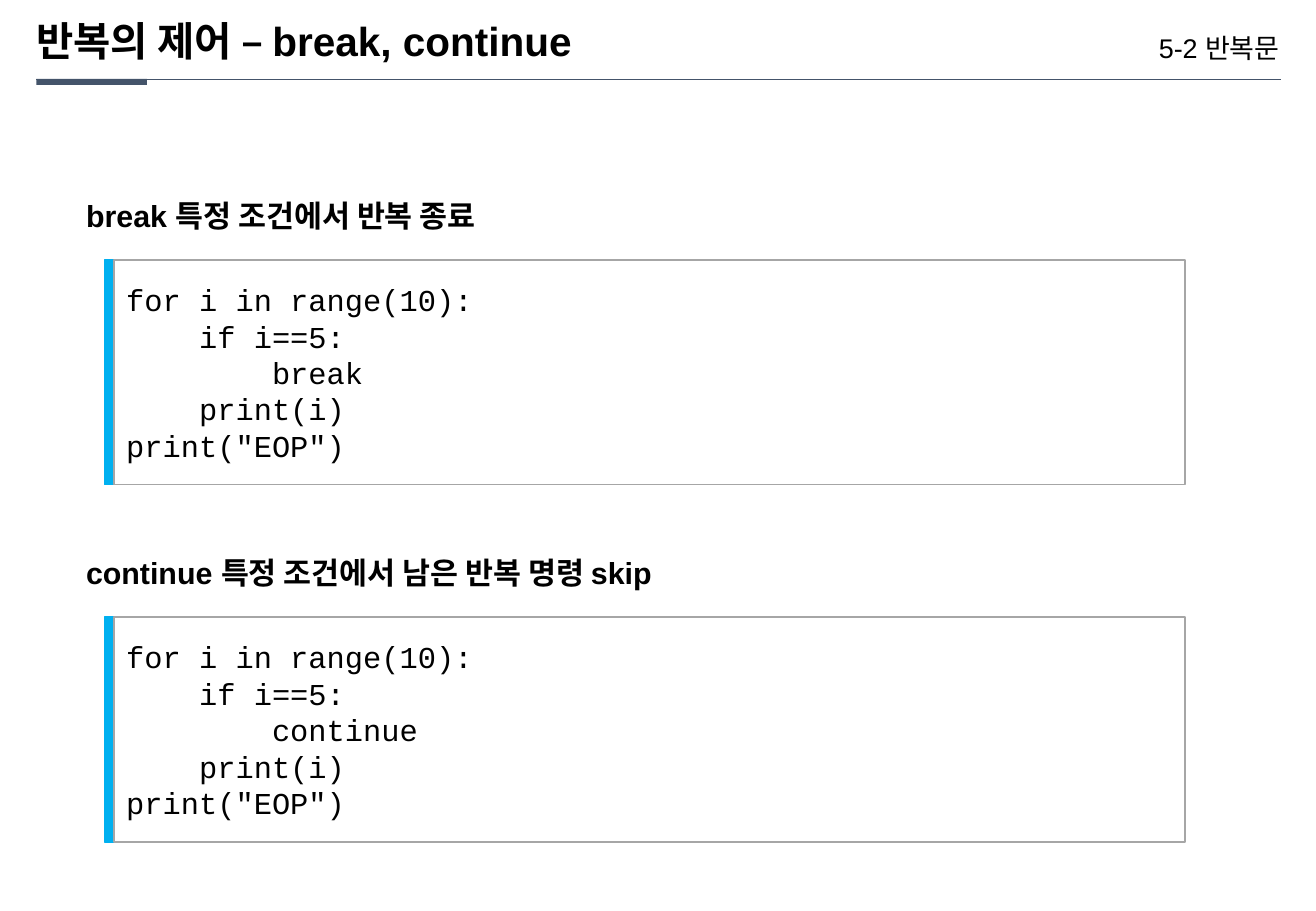
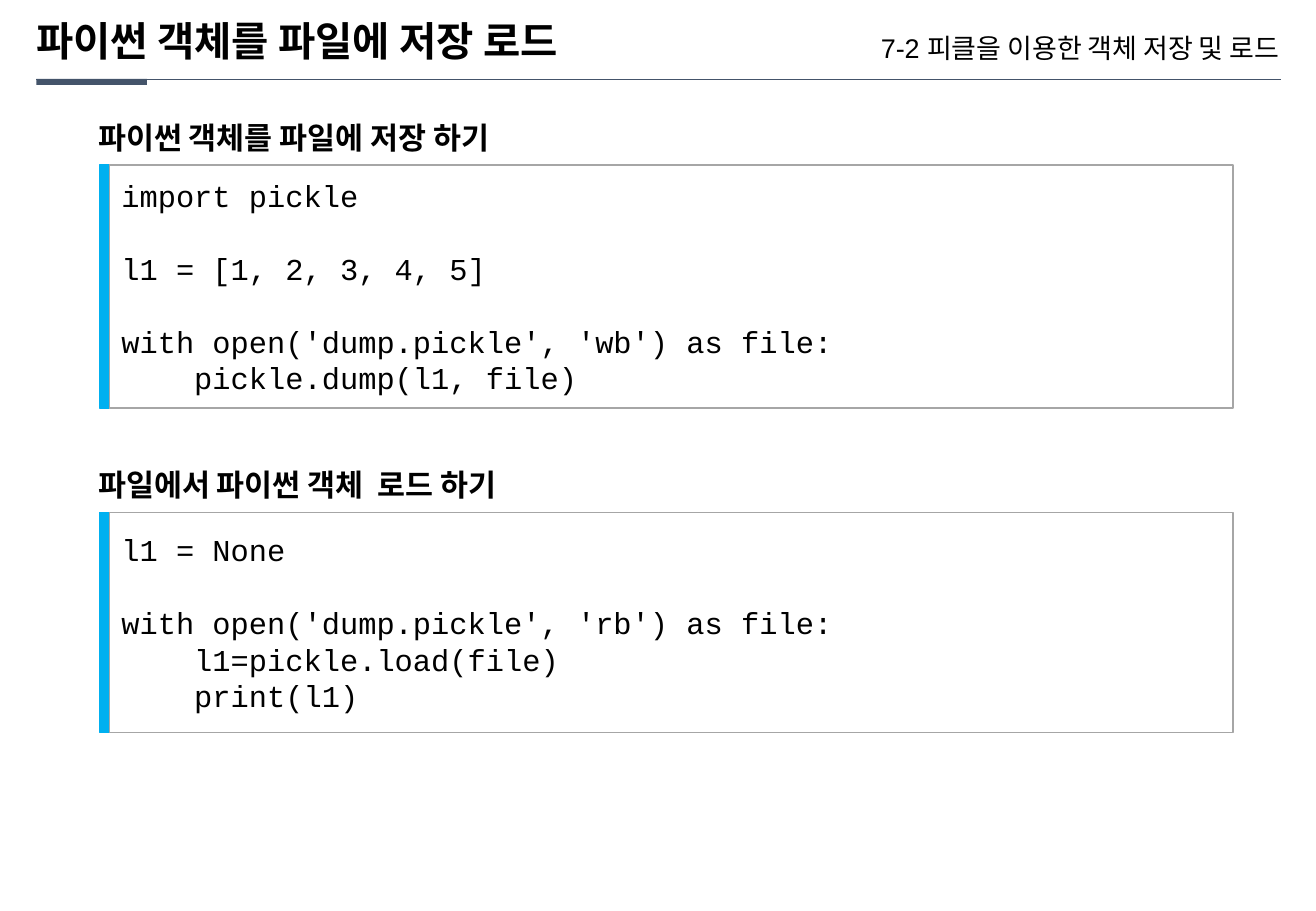
from pptx import Presentation
from pptx.dml.color import RGBColor
from pptx.enum.shapes import MSO_CONNECTOR as CONNECTOR, MSO_SHAPE as SHAPE
from pptx.enum.text import MSO_ANCHOR as ANCHOR, PP_ALIGN as ALIGN
from pptx.oxml.ns import qn
from pptx.util import Inches, Pt
from lxml.etree import SubElement


def rgb(hex_colour):
    return RGBColor.from_string(hex_colour)


class Deck:
    SLATE, CYAN, GREY, WHITE, BLACK = "44546A", "00B0F0", "A6A6A6", "FFFFFF", "000000"
    SANS, MONO = "Arial", "Courier New"
    LEFT, RIGHT, RULE_Y = 0.3, 10.54, 0.65
    BAR_WIDTH = 0.08

    def __init__(self):
        self.prs = Presentation()
        self.prs.slide_width = Inches(10.83)
        self.prs.slide_height = Inches(7.5)
        self.slide = None

    def new_slide(self, title, chapter, title_font):
        """Start a slide with the shared header."""
        self.slide = self.prs.slides.add_slide(self.prs.slide_layouts[6])
        self.rule()
        self.rect(self.LEFT, self.RULE_Y, 0.91, 0.05, self.SLATE)
        self.text(title, self.LEFT, 0.18, 6.13, 0.36, 24, title_font,
                  bold=True, inset=0, spacing=0.9)
        self.text(chapter, 6.4, 0.29, 4.13, 0.24, 16, self.SANS,
                  align=ALIGN.RIGHT, inset=0, spacing=0.9)

    def rule(self):
        rule = self.slide.shapes.add_connector(
            CONNECTOR.STRAIGHT, Inches(self.LEFT), Inches(self.RULE_Y),
            Inches(self.RIGHT), Inches(self.RULE_Y))
        rule.line.color.rgb = rgb(self.SLATE)
        rule.line.width = Pt(0.25)
        SubElement(rule._element.spPr, qn("a:effectLst"))

    def rect(self, left, top, width, height, fill, line=None):
        box = self.slide.shapes.add_shape(
            SHAPE.RECTANGLE, Inches(left), Inches(top), Inches(width), Inches(height))
        box.shadow.inherit = False
        box.fill.solid()
        box.fill.fore_color.rgb = rgb(fill)
        if line:
            box.line.color.rgb = rgb(line)
            box.line.width = Pt(1)
        else:
            box.line.fill.background()
        return box

    def fill_text(self, frame, content, size, font, bold=False, align=ALIGN.LEFT, spacing=None):
        frame.word_wrap = True
        frame.text = content
        for paragraph in frame.paragraphs:
            paragraph.alignment = align
            paragraph.line_spacing = spacing
            paragraph.font.size = Pt(size)
            paragraph.font.name = font
            paragraph.font.bold = bold
            paragraph.font.color.rgb = rgb(self.BLACK)

    def text(self, content, left, top, width, height, size, font, inset=None, **style):
        frame = self.slide.shapes.add_textbox(
            Inches(left), Inches(top), Inches(width), Inches(height)).text_frame
        if inset is not None:
            frame.margin_left = frame.margin_right = Inches(inset)
            frame.margin_top = frame.margin_bottom = Inches(inset)
        self.fill_text(frame, content, size, font, **style)

    def heading(self, content, left, top, font):
        self.text(content, left, top, 8.7, 0.4, 18, font, bold=True)

    def code(self, lines, left, top, width, height):
        """Code panel with a coloured bar on its left."""
        self.rect(left, top, self.BAR_WIDTH, height, self.CYAN, self.CYAN)
        panel = self.rect(left + self.BAR_WIDTH, top, width, height, self.WHITE, self.GREY)
        panel.text_frame.vertical_anchor = ANCHOR.MIDDLE
        self.fill_text(panel.text_frame, "\n".join(lines), 18, self.MONO)


def main():
    deck = Deck()

    # Loop control: the two examples differ only in the keyword
    deck.new_slide("반복의 제어 – break, continue", "5-2 반복문", deck.SANS)
    loops = [("break", "특정 조건에서 반복 종료"),
             ("continue", "특정 조건에서 남은 반복 명령 skip")]
    for row, (keyword, meaning) in enumerate(loops):
        top = 1.57 + row * 2.94
        deck.heading(f"{keyword} {meaning}", 0.61, top, deck.SANS)
        deck.code(["for i in range(10):",
                   "    if i==5:",
                   f"        {keyword}",
                   "    print(i)",
                   'print("EOP")'], 0.86, top + 0.57, 8.81, 1.85)

    # Saving and loading objects
    deck.new_slide("파이썬 객체를 파일에 저장 로드", "7-2 피클을 이용한 객체 저장 및 로드", deck.MONO)
    save_lines = ["import pickle",
                  "",
                  "l1 = [1, 2, 3, 4, 5]",
                  "",
                  "with open('dump.pickle', 'wb') as file:",
                  "    pickle.dump(l1, file)"]
    load_lines = ["l1 = None",
                  "",
                  "with open('dump.pickle', 'rb') as file:",
                  "    l1=pickle.load(file)",
                  "    print(l1)"]
    steps = [("파이썬 객체를 파일에 저장 하기", save_lines, 0.93, 2),
             ("파일에서 파이썬 객체  로드 하기", load_lines, 3.79, 1.81)]
    for heading, lines, top, height in steps:
        deck.heading(heading, 0.71, top, deck.MONO)
        deck.code(lines, 0.82, top + 0.43, 9.25, height)

    deck.prs.save("out.pptx")


if __name__ == "__main__":
    main()
